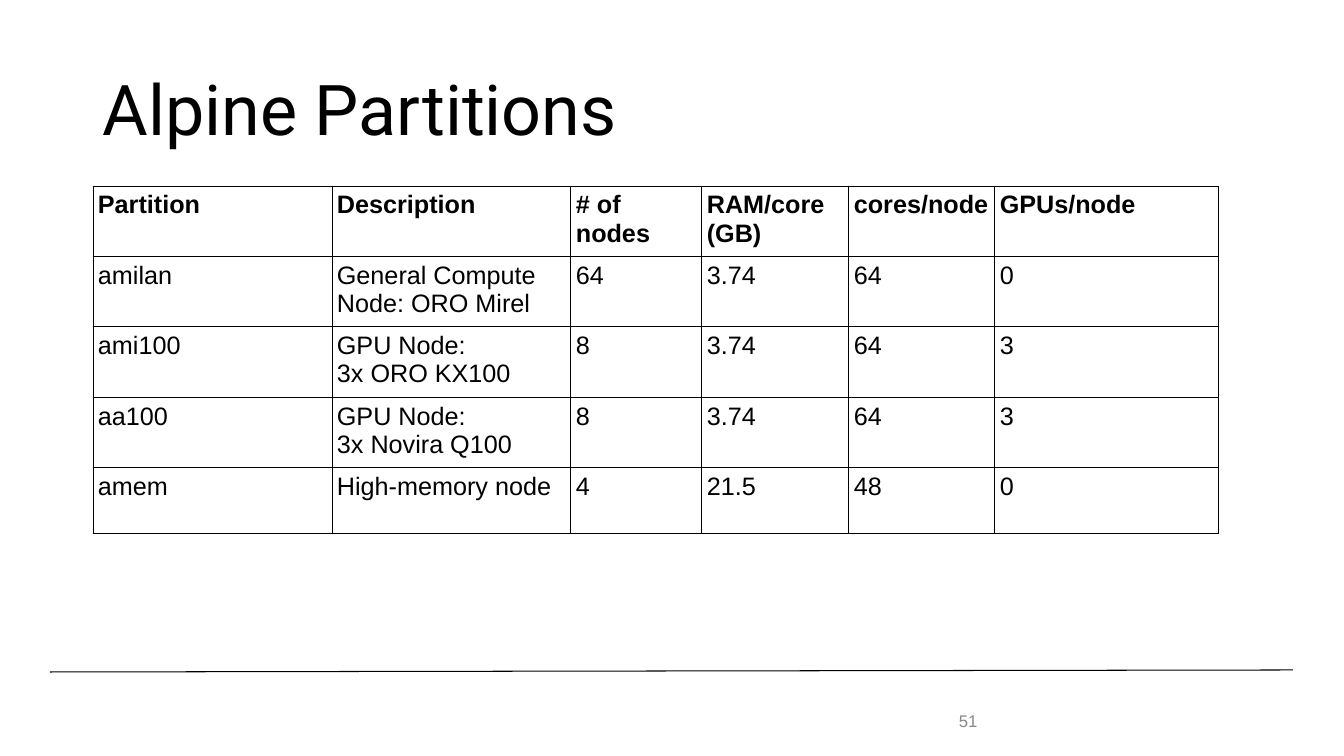
from lxml import etree
from pptx import Presentation
from pptx.dml.color import RGBColor
from pptx.enum.shapes import MSO_CONNECTOR as Connector
from pptx.enum.text import MSO_ANCHOR as Anchor
from pptx.oxml import parse_xml
from pptx.oxml.ns import nsdecls, qn
from pptx.util import Pt

TITLE = "Alpine Partitions"
PAGE = "51"
PARTITIONS = [
    ("Partition", "Description", "# of nodes", "RAM/core (GB)", "cores/node", "GPUs/node"),
    ("amilan", "General Compute Node: ORO Mirel", "64", "3.74", "64", "0"),
    ("ami100", "GPU Node:\n3x ORO KX100", "8", "3.74", "64", "3"),
    ("aa100", "GPU Node:\n3x Novira Q100", "8", "3.74", "64", "3"),
    ("amem", "High-memory node", "4", "21.5", "48", "0"),
]
COLUMNS = [239, 239, 131, 147, 146, 224]
ROW = 66
COLORS = {"ink": "000000", "page": "888888"}
TITLE_BOX = (93, 40, 1159, 146)
PAGE_BOX = (949, 701, 76, 40)
TABLE_AT = (93, 186)
RULE = (50, 672, 1293, 670)
SLIDE = (1344, 756)
SCALE = 12192000 / SLIDE[0]


def px(*lengths):
    return [round(length * SCALE) for length in lengths]


def style(paragraph, size, face, color, bold=False):
    font = paragraph.font
    font.size, font.name, font.bold = Pt(size), face, bold
    font.color.rgb = RGBColor.from_string(COLORS[color])


def add_text(slide, box, text, size, face, color):
    frame = slide.shapes.add_textbox(*px(*box)).text_frame
    frame.word_wrap = True
    frame.vertical_anchor = Anchor.MIDDLE
    frame.text = text
    style(frame.paragraphs[0], size, face, color)
    return frame.paragraphs[0]


def add_borders(cell):
    properties = cell._tc.get_or_add_tcPr()
    for side in "LRTB":
        properties.append(parse_xml(
            f'<a:ln{side} {nsdecls("a")} w="{Pt(0.75)}"><a:solidFill>'
            f'<a:srgbClr val="{COLORS["ink"]}"/></a:solidFill></a:ln{side}>'))


def add_partitions(slide):
    size = px(sum(COLUMNS), ROW * len(PARTITIONS))
    table = slide.shapes.add_table(
        len(PARTITIONS), len(COLUMNS), *px(*TABLE_AT), *size).table
    table.first_row = table.horz_banding = False
    for column, width in zip(table.columns, px(*COLUMNS)):
        column.width = width
    for r, values in enumerate(PARTITIONS):
        table.rows[r].height = px(ROW)[0]
        for c, value in enumerate(values):
            cell = table.cell(r, c)
            cell.margin_left, cell.margin_right, cell.margin_top, cell.margin_bottom = px(5) * 4
            cell.text = value
            for paragraph in cell.text_frame.paragraphs:
                style(paragraph, 18, "Arial", "ink", bold=r == 0)
            add_borders(cell)
            cell.fill.background()


def main():
    deck = Presentation()
    deck.slide_width, deck.slide_height = px(*SLIDE)
    slide = deck.slides.add_slide(deck.slide_layouts[6])

    rule = slide.shapes.add_connector(Connector.STRAIGHT, *px(*RULE))
    rule.line.width = Pt(0.75)
    rule.line.color.rgb = RGBColor.from_string(COLORS["ink"])
    etree.SubElement(rule._element.spPr, qn("a:effectLst"))

    add_text(slide, TITLE_BOX, TITLE, 50, "Roboto", "ink").line_spacing = 0.9
    add_text(slide, PAGE_BOX, PAGE, 12, "Arial", "page")
    add_partitions(slide)
    deck.save("out.pptx")


if __name__ == "__main__":
    main()
